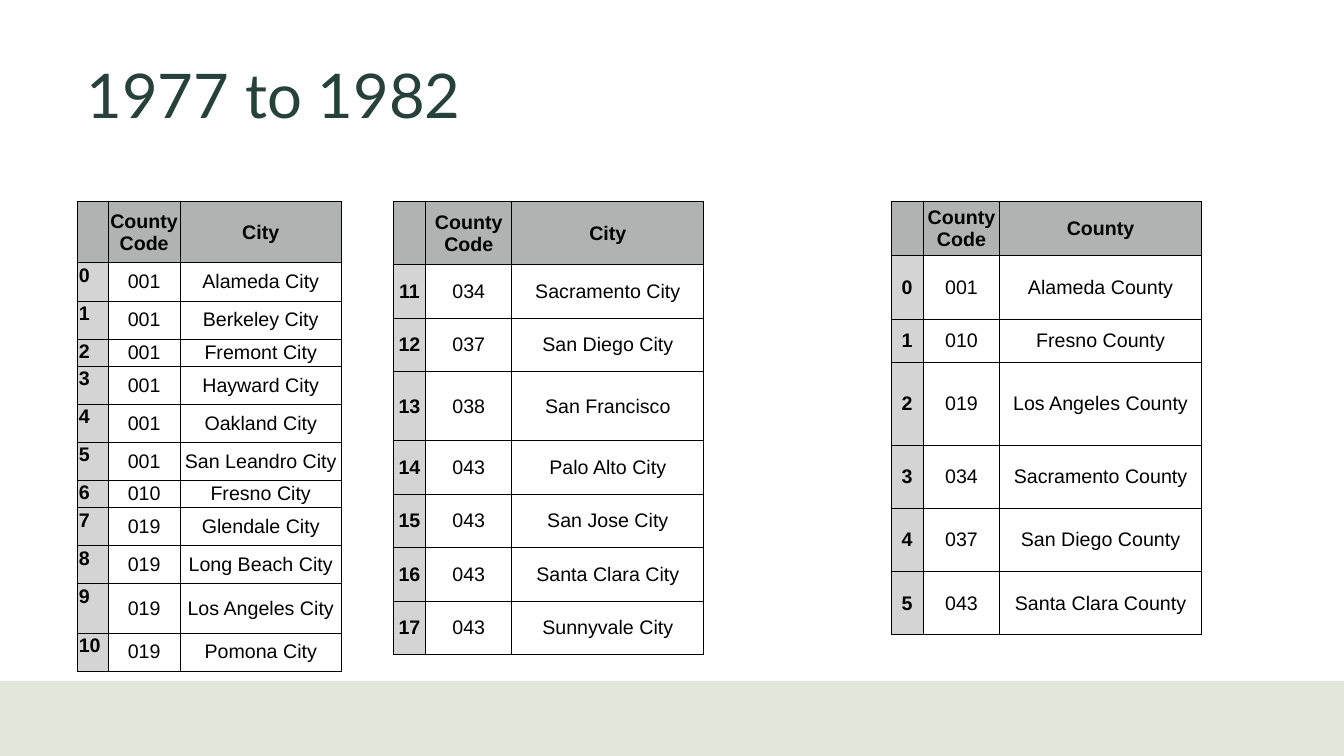
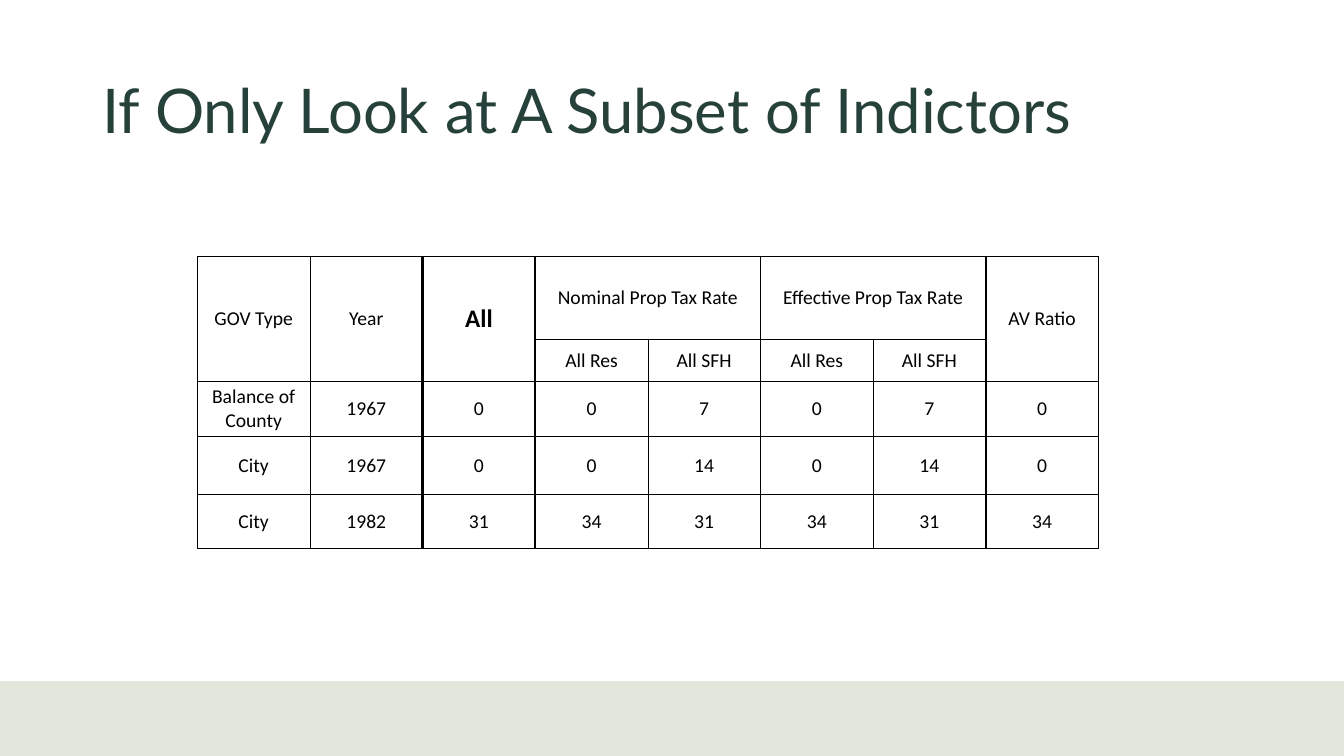
"""Build two slides of county and city tables under a shared title and footer band."""
import dataclasses
import typing

import lxml.etree
import pptx
import pptx.dml.color
import pptx.enum.shapes
import pptx.enum.text
import pptx.oxml.ns
import pptx.util

Pt = pptx.util.Pt
ALIGN = pptx.enum.text.PP_ALIGN
ANCHOR = pptx.enum.text.MSO_ANCHOR

WIDTH, HEIGHT = 960, 540
BAND_TOP = 486.6
INK, TITLE_INK, BAND = "000000", "26403A", "E2E7DB"
HEADER_FILL, INDEX_FILL = "B0B3B2", "D4D4D4"
PLAIN_STYLE = "{2D5ABB26-0587-4C30-8999-92F81FD0307C}"


@dataclasses.dataclass(frozen=True)
class Look:
    font: str = "Arial"
    size: float = 14
    bold: bool = False
    fill: str | None = None
    align: ALIGN = ALIGN.CENTER
    anchor: ANCHOR = ANCHOR.MIDDLE


@dataclasses.dataclass(frozen=True)
class Grid:
    left: float
    top: float
    columns: list[float]
    heights: list[float]
    rows: list[list[str]]
    inset: float
    column_lines: list[float]
    row_line: float
    look: typing.Callable[[int, int], Look]
    merges: tuple[tuple[int, int, int, int], ...] = ()


def rgb(code: str) -> pptx.dml.color.RGBColor:
    return pptx.dml.color.RGBColor.from_string(code)


def apply(target: typing.Any, values: dict[str, typing.Any]) -> None:
    for name, value in values.items():
        setattr(target, name, value)


def style_font(font: typing.Any, name: str, size: float, color: str, bold: bool) -> None:
    apply(font, {"name": name, "size": Pt(size), "bold": bold})
    font.color.rgb = rgb(color)


def draw_borders(cell: typing.Any, widths: dict[str, float]) -> None:
    properties = cell._tc.get_or_add_tcPr()
    qn = pptx.oxml.ns.qn
    for side, width in widths.items():
        line = lxml.etree.SubElement(properties, qn(f"a:ln{side}"), w=str(Pt(width)))
        paint = lxml.etree.SubElement(line, qn("a:solidFill"))
        lxml.etree.SubElement(paint, qn("a:srgbClr"), val=INK)


def draw_cell(cell: typing.Any, text: str, grid: Grid, row: int, column: int) -> None:
    look = grid.look(row, column)
    span = cell.span_width if cell.is_merge_origin else 1
    draw_borders(cell, {
        "L": grid.column_lines[column],
        "R": grid.column_lines[column + span],
        "T": grid.row_line,
        "B": grid.row_line,
    })
    if look.fill:
        cell.fill.solid()
        cell.fill.fore_color.rgb = rgb(look.fill)
    else:
        cell.fill.background()
    apply(cell, {f"margin_{side}": Pt(grid.inset) for side in ("left", "right", "top", "bottom")})
    cell.vertical_anchor = look.anchor
    cell.text_frame.text = text
    for paragraph in cell.text_frame.paragraphs:
        paragraph.alignment = look.align
        for run in paragraph.runs:
            style_font(run.font, look.font, look.size, INK, look.bold)


def draw_grid(slide: typing.Any, grid: Grid) -> None:
    table = slide.shapes.add_table(
        len(grid.heights), len(grid.columns), Pt(grid.left), Pt(grid.top),
        Pt(sum(grid.columns)), Pt(sum(grid.heights))).table
    apply(table, {"first_row": False, "horz_banding": False})
    table._tbl.tblPr.find(pptx.oxml.ns.qn("a:tableStyleId")).text = PLAIN_STYLE
    for column, width in zip(table.columns, grid.columns):
        column.width = Pt(width)
    for row, height in zip(table.rows, grid.heights):
        row.height = Pt(height)
    for top, left, bottom, right in grid.merges:
        table.cell(top, left).merge(table.cell(bottom, right))
    for row, texts in enumerate(grid.rows):
        for column, text in enumerate(texts):
            draw_cell(table.cell(row, column), text, grid, row, column)


def add_slide(deck: typing.Any, title: str, left: float, top: float) -> typing.Any:
    slide = deck.slides.add_slide(deck.slide_layouts[6])
    band = slide.shapes.add_shape(
        pptx.enum.shapes.MSO_SHAPE.RECTANGLE,
        Pt(0), Pt(BAND_TOP), Pt(WIDTH), Pt(HEIGHT - BAND_TOP))
    band.shadow.inherit = False
    band.fill.solid()
    band.fill.fore_color.rgb = rgb(BAND)
    band.line.fill.background()
    frame = slide.shapes.add_textbox(Pt(left), Pt(top), Pt(828), Pt(104.4)).text_frame
    apply(frame, {"word_wrap": True, "vertical_anchor": ANCHOR.MIDDLE})
    heading = frame.paragraphs[0]
    heading.line_spacing = 0.9
    run = heading.add_run()
    run.text = title
    style_font(run.font, "Lato", 44, TITLE_INK, False)
    return slide


def code_look(row: int, column: int) -> Look:
    if row == 0:
        return Look(bold=True, fill=HEADER_FILL)
    if column == 0:
        return Look(bold=True, fill=INDEX_FILL)
    return Look()


def top_index_look(row: int, column: int) -> Look:
    look = code_look(row, column)
    if row and column == 0:
        return dataclasses.replace(look, align=ALIGN.LEFT, anchor=ANCHOR.TOP)
    return look


def indicator_look(row: int, column: int) -> Look:
    is_total = (row, column) == (0, 2)
    return Look(font="Calibri", size=18 if is_total else 14, bold=is_total)


def code_grid(left: float, columns: list[float], heights: list[float], place: str,
              entries: list[tuple[str, str]], first: int = 0, inset: float = 1.3,
              look: typing.Callable[[int, int], Look] = code_look) -> Grid:
    rows = [["", "County\nCode", place]]
    rows += [[str(index), code, name] for index, (code, name) in enumerate(entries, first)]
    return Grid(left, 144, columns, heights, rows, inset, [0.75] * 4, 0.75, look)


CITIES = [
    ("001", "Alameda City"), ("001", "Berkeley City"), ("001", "Fremont City"),
    ("001", "Hayward City"), ("001", "Oakland City"), ("001", "San Leandro City"),
    ("010", "Fresno City"), ("019", "Glendale City"), ("019", "Long Beach City"),
    ("019", "Los Angeles City"), ("019", "Pomona City"), ("034", "Sacramento City"),
    ("037", "San Diego City"), ("038", "San Francisco"), ("043", "Palo Alto City"),
    ("043", "San Jose City"), ("043", "Santa Clara City"), ("043", "Sunnyvale City"),
]
COUNTIES = [
    ("001", "Alameda County"), ("010", "Fresno County"), ("019", "Los Angeles County"),
    ("034", "Sacramento County"), ("037", "San Diego County"), ("043", "Santa Clara County"),
]
SPLIT = 11
CODE_GRIDS = [
    code_grid(636.5, [23, 54.7, 144], [38.8, 45.2, 31.2, 58.8] + [45.2] * 3,
              "County", COUNTIES, inset=2),
    code_grid(55, [22.3, 51.4, 115.2],
              [43.8, 27.2, 27.2, 19, 27.2, 27.2, 27.2, 19, 27.2, 27.2, 35.4, 27.2],
              "City", CITIES[:SPLIT], look=top_index_look),
    code_grid(280.8, [23.4, 61.4, 137.2], [45.2, 38.2, 38.2, 49.4] + [38.2] * 4,
              "City", CITIES[SPLIT:], first=SPLIT),
]
INDICATORS = Grid(
    left=141, top=183.4, columns=[80.45] * 8, heights=[59.2, 30, 39.4, 41.2, 38.8],
    rows=[
        ["GOV Type", "Year", "All", "Nominal Prop Tax Rate", "",
         "Effective Prop Tax Rate", "", "AV Ratio"],
        ["", "", "", "All Res", "All SFH", "All Res", "All SFH", ""],
        ["Balance of County", "1967", "0", "0", "7", "0", "7", "0"],
        ["City", "1967", "0", "0", "14", "0", "14", "0"],
        ["City", "1982", "31", "34", "31", "34", "31", "34"],
    ],
    inset=0.6, column_lines=[0.5, 0.5, 2, 1.5, 0.5, 1.5, 0.5, 1.5, 0.5], row_line=0.5,
    look=indicator_look,
    merges=((0, 0, 1, 0), (0, 1, 1, 1), (0, 2, 1, 2), (0, 3, 0, 4), (0, 5, 0, 6), (0, 7, 1, 7)),
)


def main() -> None:
    deck = pptx.Presentation()
    apply(deck, {"slide_width": Pt(WIDTH), "slide_height": Pt(HEIGHT)})
    codes = add_slide(deck, "1977 to 1982", 54.7, 18)
    for grid in CODE_GRIDS:
        draw_grid(codes, grid)
    subset = add_slide(deck, "If Only Look at A Subset of Indictors", 66.2, 28.8)
    draw_grid(subset, INDICATORS)
    deck.save("out.pptx")


if __name__ == "__main__":
    main()
